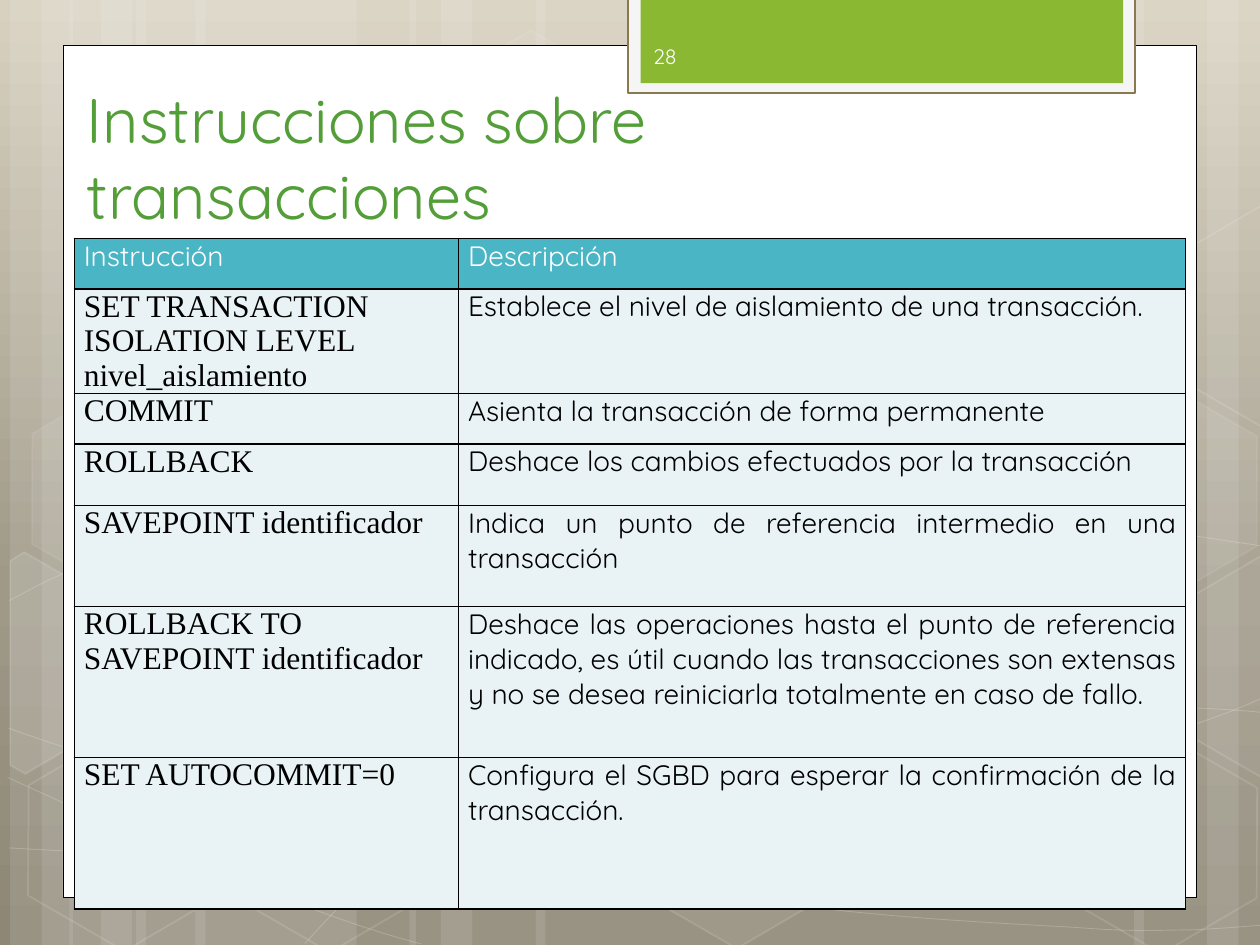
import copy
import math
import pptx
import pptx.util
import pptx.dml.color
import pptx.enum.shapes
import pptx.enum.text
import pptx.oxml

MSO = pptx.enum.shapes.MSO_SHAPE
ALIGN = pptx.enum.text.PP_ALIGN
ANCHOR = pptx.enum.text.MSO_ANCHOR
NS = 'xmlns:a="http://schemas.openxmlformats.org/drawingml/2006/main"'


def rgb(value):
    return pptx.dml.color.RGBColor.from_string(value)


def put_text(tf, text, size=16, font="Quicksand", color="000000", align=ALIGN.LEFT, anchor=ANCHOR.TOP):
    tf.word_wrap = True
    tf.vertical_anchor = anchor
    p = tf.paragraphs[0]
    p.alignment = align
    r = p.add_run()
    r.text = text
    r.font.size = pptx.util.Pt(size)
    r.font.name = font
    r.font.bold = False
    r.font.color.rgb = rgb(color)


def turn(points, center, degrees):
    cos, sin = math.cos(math.radians(degrees)), math.sin(math.radians(degrees))
    cx, cy = center
    return [(cx + (x - cx) * cos - (y - cy) * sin, cy + (x - cx) * sin + (y - cy) * cos) for x, y in points]


class Deck:
    columns, rows = 100, 75

    def __init__(self):
        self.prs = pptx.Presentation()
        self.prs.slide_width = pptx.util.Inches(10)
        self.prs.slide_height = pptx.util.Inches(7.5)
        self.s = self.prs.slides.add_slide(self.prs.slide_layouts[5])

    def x(self, columns):
        return round(self.prs.slide_width * columns / self.columns)

    def y(self, rows):
        return round(self.prs.slide_height * rows / self.rows)

    def box(self, x, y, w, h):
        return self.x(x), self.y(y), self.x(w), self.y(h)

    def background(self, stops):
        fill = self.s.background.fill
        fill.gradient()
        fill.gradient_angle = 270
        gs_list = self.s.element.xpath(".//a:gsLst")[0]
        gs_list.insert(1, copy.deepcopy(gs_list[0]))
        for stop, (position, color) in zip(fill.gradient_stops, stops):
            stop.position = position
            stop.color.rgb = rgb(color)

    def fade(self, element, percent):
        if percent < 100:
            color = element.xpath("./a:solidFill/a:srgbClr")[0]
            color.append(pptx.oxml.parse_xml(f'<a:alpha {NS} val="{percent * 1000}"/>'))

    def style(self, sp, fill=None, alpha=100, line=None, width=1, line_alpha=100, rotation=0):
        sp.shadow.inherit = False
        sp.rotation = rotation
        if fill:
            sp.fill.solid()
            sp.fill.fore_color.rgb = rgb(fill)
            self.fade(sp.element.spPr, alpha)
        else:
            sp.fill.background()
        if line:
            sp.line.color.rgb = rgb(line)
            sp.line.width = pptx.util.Pt(width)
            self.fade(sp.element.spPr.xpath("./a:ln")[0], line_alpha)
        else:
            sp.line.fill.background()

    def rect(self, *box, **look):
        sp = self.s.shapes.add_shape(MSO.RECTANGLE, *self.box(*box))
        self.style(sp, **look)

    def hexagon(self, x, y, **look):
        sp = self.s.shapes.add_shape(MSO.HEXAGON, *self.box(x, y, 17.5, 15.2))
        sp.adjustments[0] = 0.285
        self.style(sp, rotation=30, **look)

    def outline(self, points, close=False, **look):
        first, *rest = [(self.x(x * 10), self.y(y * 10)) for x, y in points]
        fb = self.s.shapes.build_freeform(*first)
        fb.add_line_segments(rest, close=close)
        sp = fb.convert_to_shape()
        self.style(sp, **look)
        return sp

    def curve(self, points, straight=None, **look):
        sp = self.outline(points, **look)
        segments = sp.element.xpath(".//a:path/a:lnTo")
        if straight:
            del segments[straight - 1]
        for i in range(0, len(segments), 3):
            bezier = pptx.oxml.parse_xml(f"<a:cubicBezTo {NS}/>")
            segments[i].addprevious(bezier)
            for segment in segments[i:i + 3]:
                bezier.append(segment[0])
                segment.getparent().remove(segment)

    def title(self, text, *box, **form):
        sp = self.s.shapes.title
        sp.element.getparent().append(sp.element)
        sp.left, sp.top, sp.width, sp.height = self.box(*box)
        sp.text_frame.auto_size = pptx.enum.text.MSO_AUTO_SIZE.NONE
        put_text(sp.text_frame, text, **form)

    def text(self, text, *box, **form):
        sp = self.s.shapes.add_textbox(*self.box(*box))
        put_text(sp.text_frame, text, **form)

    def cell(self, cell, text, fill, **form):
        cell.margin_left = cell.margin_right = self.x(0.75)
        cell.margin_top = cell.margin_bottom = 0
        tc_pr = cell._tc.get_or_add_tcPr()
        for side in "LRTB":
            tc_pr.append(pptx.oxml.parse_xml(
                f'<a:ln{side} {NS} w="12700"><a:solidFill><a:srgbClr val="000000"/></a:solidFill></a:ln{side}>'))
        cell.fill.solid()
        cell.fill.fore_color.rgb = rgb(fill)
        put_text(cell.text_frame, text, **form)

    def table(self, x, y, widths, heights, header, body):
        frame = self.s.shapes.add_table(len(heights), len(widths),
                                        *self.box(x, y, sum(widths), sum(heights)))
        table = frame.table
        for column, width in zip(table.columns, widths):
            column.width = self.x(width)
        for row, height in zip(table.rows, heights):
            row.height = self.y(height)
        for j, text in enumerate(header):
            self.cell(table.cell(0, j), text, "4AB5C4", color="FFFFFF", align=ALIGN.JUSTIFY)
        for i, (command, meaning) in enumerate(body, 1):
            self.cell(table.cell(i, 0), command, "E9F3F5", size=18, font="Times New Roman")
            self.cell(table.cell(i, 1), meaning, "E9F3F5", align=ALIGN.JUSTIFY)
        frame.height = self.y(54.5)


WHITE = "FFFFFF"
STRIPS = [(10.8, 17.5, 0), (0.8, 5, 0), (3.3, 8.3, 0), (15.5, 17.5, 0), (5.5, 5, 0), (8, 8.3, 0),
          (73.3, 17.5, 180), (95.8, 5, 180), (90, 8.3, 180), (42.5, 30.8, 0), (32.5, 5, 0), (35, 8.3, 0)]
CURVES = [
    ([(0.07, 6.73), (0.61, 6.76), (1.15, 6.79), (1.9, 6.78), (2.65, 6.77), (3.58, 6.75), (4.58, 6.65),
      (5.58, 6.55), (7, 6.36), (7.92, 6.17), (8.83, 5.98), (9.77, 5.68), (10.07, 5.51)], None),
    ([(0.07, 4.77), (0.36, 4.61), (0.65, 4.46), (1.21, 4.31), (1.78, 4.16), (2.59, 3.94), (3.47, 3.87),
      (4.36, 3.8), (5.44, 3.79), (6.54, 3.87), (7.64, 3.95), (9.47, 4.26), (10.07, 4.34)], None),
    ([(0.06, 6.17), (1.27, 6.72), (2.47, 7.27), (3.34, 7.49)], None),
    ([(0.07, 5.78), (0.38, 5.89), (0.7, 6), (1.28, 6.16), (1.86, 6.31), (2.73, 6.56), (3.57, 6.73),
      (4.4, 6.9), (5.45, 7.08), (6.28, 7.18), (7.11, 7.29), (8, 7.33), (8.53, 7.36),
      (9.05, 7.4), (9.19, 7.38), (9.45, 7.38), (9.71, 7.37), (9.89, 7.35), (10.07, 7.34)], None),
    ([(2.42, 7.49), (2.6, 7.29), (2.78, 7.09), (3.02, 6.91), (3.26, 6.73), (3.6, 6.53), (3.88, 6.39),
      (4.16, 6.25), (4.33, 6.19), (4.7, 6.09), (5.06, 5.99), (5.73, 5.85), (6.08, 5.78),
      (6.44, 5.71), (6.49, 5.71), (6.8, 5.69), (7.11, 5.66), (7.6, 5.63), (7.94, 5.62),
      (8.29, 5.61), (8.86, 5.62), (8.86, 5.62), (9.53, 5.62),
      (9.71, 5.63), (9.88, 5.64), (9.97, 5.65), (10.06, 5.66), (10.03, 5.65), (10.06, 5.66)], 22),
]
HEXAGONS = [(33.4, 3.6, 4, 8), (49.7, 58.9, 6, 12), (1.1, 59.1, 0, 12), (1.4, 31.2, 7, 8), (17.4, 59.2, 0, 12),
            (75.3, 45.3, 10, 12), (83.4, 59.3, 0, 12), (83.4, 31.4, 7, 8)]
CUT_HEXAGONS = [
    (10, (0.36, 5.35), [(0.08, 4.45), (0.19, 4.38), (0.96, 4.82), (0.95, 5.7), (0.2, 6.14), (0.08, 6.07)]),
    (4, (9.85, 5.2), [(9.26, 4.85), (10.01, 4.41), (10.09, 4.46), (10.09, 6.13), (10.02, 6.17), (9.26, 5.73)]),
    (0, (9.85, 2.41), [(9.26, 2.07), (10.01, 1.63), (10.1, 1.68), (10.09, 3.35), (10.02, 3.39), (9.26, 2.95)]),
]
INSTRUCTIONS = [
    ("SET TRANSACTION ISOLATION LEVEL nivel_aislamiento", "Establece el nivel de aislamiento de una transacción."),
    ("COMMIT", "Asienta la transacción de forma permanente"),
    ("ROLLBACK", "Deshace los cambios efectuados por la transacción"),
    ("SAVEPOINT identificador", "Indica un punto de referencia intermedio en una transacción"),
    ("ROLLBACK TO SAVEPOINT identificador",
     "Deshace las operaciones hasta el punto de referencia indicado, es útil cuando las transacciones "
     "son extensas y no se desea reiniciarla totalmente en caso de fallo."),
    ("SET AUTOCOMMIT=0", "Configura el SGBD para esperar la confirmación de la transacción."),
]

deck = Deck()
deck.background([(0, "D8D1C0"), (0.62, "9F9988"), (1, "8E8776")])
for x, w, rotation in STRIPS:
    deck.rect(x, 0, w, 75, fill=WHITE, alpha=10, rotation=rotation)
for points, straight in CURVES:
    deck.curve(points, straight, line=WHITE, width=0.5, line_alpha=20)
for x, y, alpha, line_alpha in HEXAGONS:
    deck.hexagon(x, y, fill=WHITE if alpha else None, alpha=alpha, line=WHITE, line_alpha=line_alpha)
for alpha, center, points in CUT_HEXAGONS:
    deck.outline(turn(points, center, -30), close=True, rotation=30,
                 fill=WHITE if alpha else None, alpha=alpha, line=WHITE, line_alpha=12)
deck.rect(5, 3.6, 90, 67.6, fill=WHITE, line="000000", width=0.5)
deck.rect(49.87, -0.2, 40.2, 7.6, fill="F5F5F5", line="887952", width=1.25)
deck.rect(50.85, -0.2, 38.3, 6.8, fill="8AB833")
deck.title("Instrucciones sobre transacciones", 5.9, 6.4, 76.8, 12.5, size=36, color="549E39", anchor=ANCHOR.BOTTOM)
deck.table(5.9, 18.93, [30.5, 57.7], [4, 8.2, 4, 4.9, 8, 12, 12], ["Instrucción", "Descripción"], INSTRUCTIONS)
deck.text("28", 50.85, 2.45, 14.6, 4, size=12, color="FEFEFE", anchor=ANCHOR.MIDDLE)
deck.prs.save("out.pptx")
